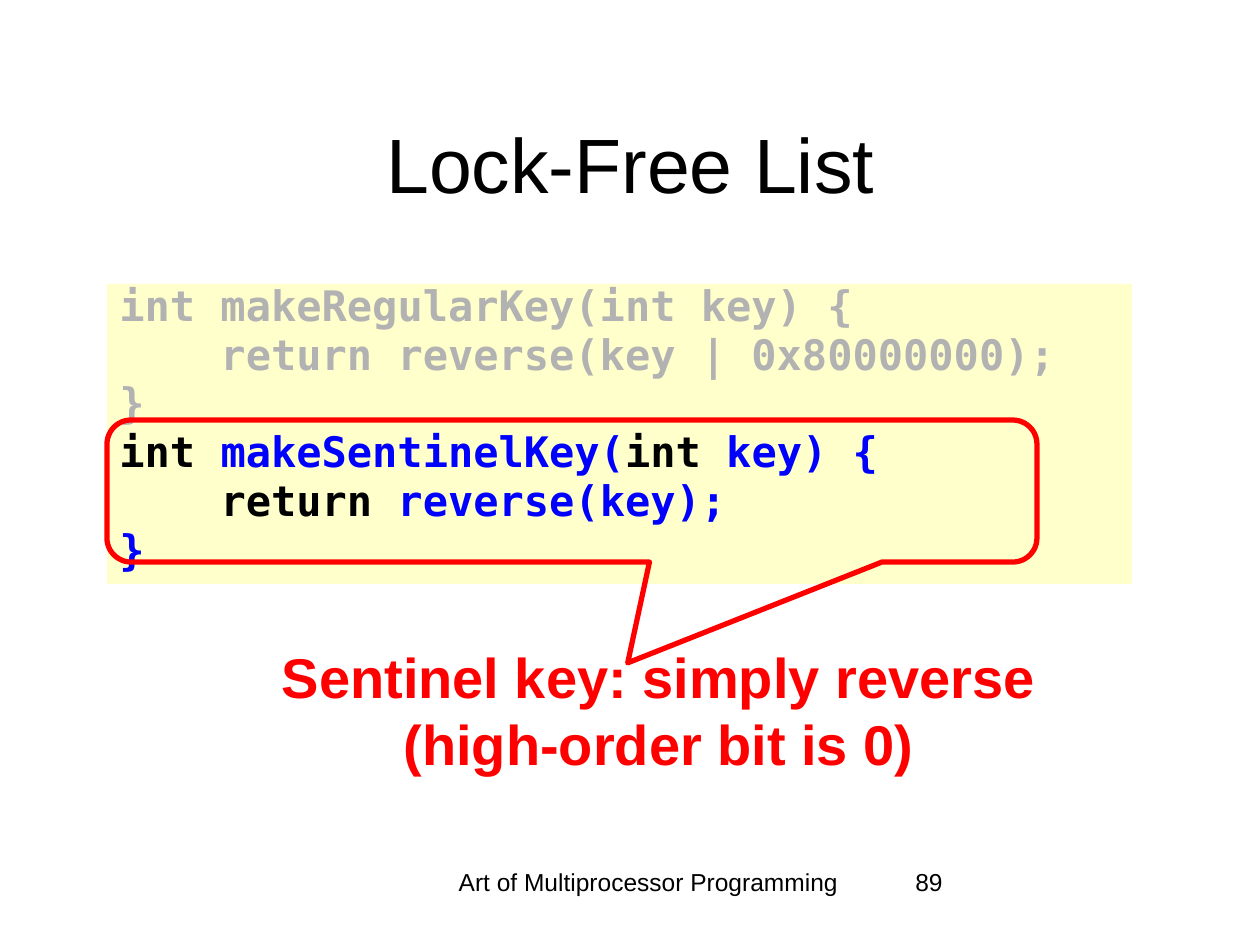
from dataclasses import dataclass

from pptx import Presentation
from pptx.dml.color import RGBColor
from pptx.enum.shapes import MSO_SHAPE
from pptx.enum.text import MSO_ANCHOR, PP_ALIGN
from pptx.util import Emu, Pt

RECTANGLE = MSO_SHAPE.RECTANGLE
CALLOUT = MSO_SHAPE.ROUNDED_RECTANGULAR_CALLOUT
LEFT, CENTER = PP_ALIGN.LEFT, PP_ALIGN.CENTER
TOP, MIDDLE = MSO_ANCHOR.TOP, MSO_ANCHOR.MIDDLE
EMU_PER_PX = 914400 / 126


@dataclass(frozen=True)
class Theme:
    """Colours, fonts and type sizes of the slide."""
    black: str = "000000"
    muted: str = "B2B2B2"
    code: str = "0000FF"
    accent: str = "FF0000"
    panel: str = "FFFFCC"
    sans: str = "Arial"
    mono: str = "DejaVu Sans Mono"
    title_size: int = 44
    note_size: int = 32
    code_size: int = 24
    footer_size: int = 14


THEME = Theme()
CODE_LINES = [
    [("int makeRegularKey(int key) {", THEME.muted)],
    [("    return reverse(key | 0x80000000);", THEME.muted)],
    [("}", THEME.muted)],
    [("int", THEME.black), (" makeSentinelKey(", THEME.code),
     ("int", THEME.black), (" key) {", THEME.code)],
    [("    ", THEME.code), ("return", THEME.black), (" reverse(key);", THEME.code)],
    [("}", THEME.code)],
]


def px(length):
    """Turn a length in px into EMU."""
    return Emu(round(length * EMU_PER_PX))


def set_values(target, values):
    """Set attributes from a dict of format values."""
    for name, value in values.items():
        setattr(target, name, value)


def add_span(para, text, color, size, font=THEME.sans, bold=False):
    """Append one formatted run to a paragraph."""
    span = para.add_run()
    span.text = text
    set_values(span.font, {"name": font, "size": Pt(size), "bold": bold})
    span.font.color.rgb = RGBColor.from_string(color)


def add_shape(page, kind, box):
    """Add a preset shape without shadow."""
    shape = page.shapes.add_shape(kind, *map(px, box))
    shape.shadow.inherit = False
    return shape


def add_label(page, box, text, size, color=THEME.black, bold=False,
              align=CENTER, anchor=TOP):
    """Add a wrapped text box with one paragraph."""
    frame = page.shapes.add_textbox(*map(px, box)).text_frame
    set_values(frame, {"word_wrap": True, "vertical_anchor": anchor})
    para = frame.paragraphs[0]
    para.alignment = align
    add_span(para, text, color, size, bold=bold)


def add_footer(page, box):
    """Add the book title and the page number along the bottom."""
    left, top, width, height = box
    title_width, number_left = 435, 472
    add_label(page, (left, top, title_width, height),
              "Art of Multiprocessor Programming", THEME.footer_size)
    add_label(page, (left + number_left, top, width - number_left, height),
              "89", THEME.footer_size, align=LEFT)


def add_code(page, box):
    """Add the code panel with its coloured lines."""
    panel = add_shape(page, RECTANGLE, box)
    panel.fill.solid()
    panel.fill.fore_color.rgb = RGBColor.from_string(THEME.panel)
    panel.line.fill.background()
    frame = panel.text_frame
    set_values(frame, {"word_wrap": True, "vertical_anchor": TOP,
                       "margin_top": px(9)})
    for index, spans in enumerate(CODE_LINES):
        para = frame.add_paragraph() if index else frame.paragraphs[0]
        set_values(para, {"alignment": LEFT, "line_spacing": 0.7,
                          "space_before": Pt(7.8 if index else 0)})
        for text, color in spans:
            add_span(para, text, color, THEME.code_size, THEME.mono, True)


def add_callout(page, box):
    """Outline the sentinel function and point at its note."""
    callout = add_shape(page, CALLOUT, box)
    callout.fill.background()
    callout.line.color.rgb = RGBColor.from_string(THEME.accent)
    callout.line.width = Pt(3)
    for index, value in enumerate((0.06, 1.21, 0.17)):
        callout.adjustments[index] = value


def main():
    """Build the slide and save the deck."""
    deck = Presentation()
    set_values(deck, {"slide_width": px(1260), "slide_height": px(945)})
    page = deck.slides.add_slide(deck.slide_layouts[6])
    add_footer(page, (431, 861, 735, 63))
    add_label(page, (95, 84, 1071, 158), "Lock-Free List",
              THEME.title_size, anchor=MIDDLE)
    add_code(page, (107, 284, 1025, 300))
    add_label(page, (213, 636, 892, 147),
              "Sentinel key: simply reverse (high-order bit is 0)",
              THEME.note_size, THEME.accent, True)
    add_callout(page, (107, 420, 930, 142))
    deck.save("out.pptx")


if __name__ == "__main__":
    main()
